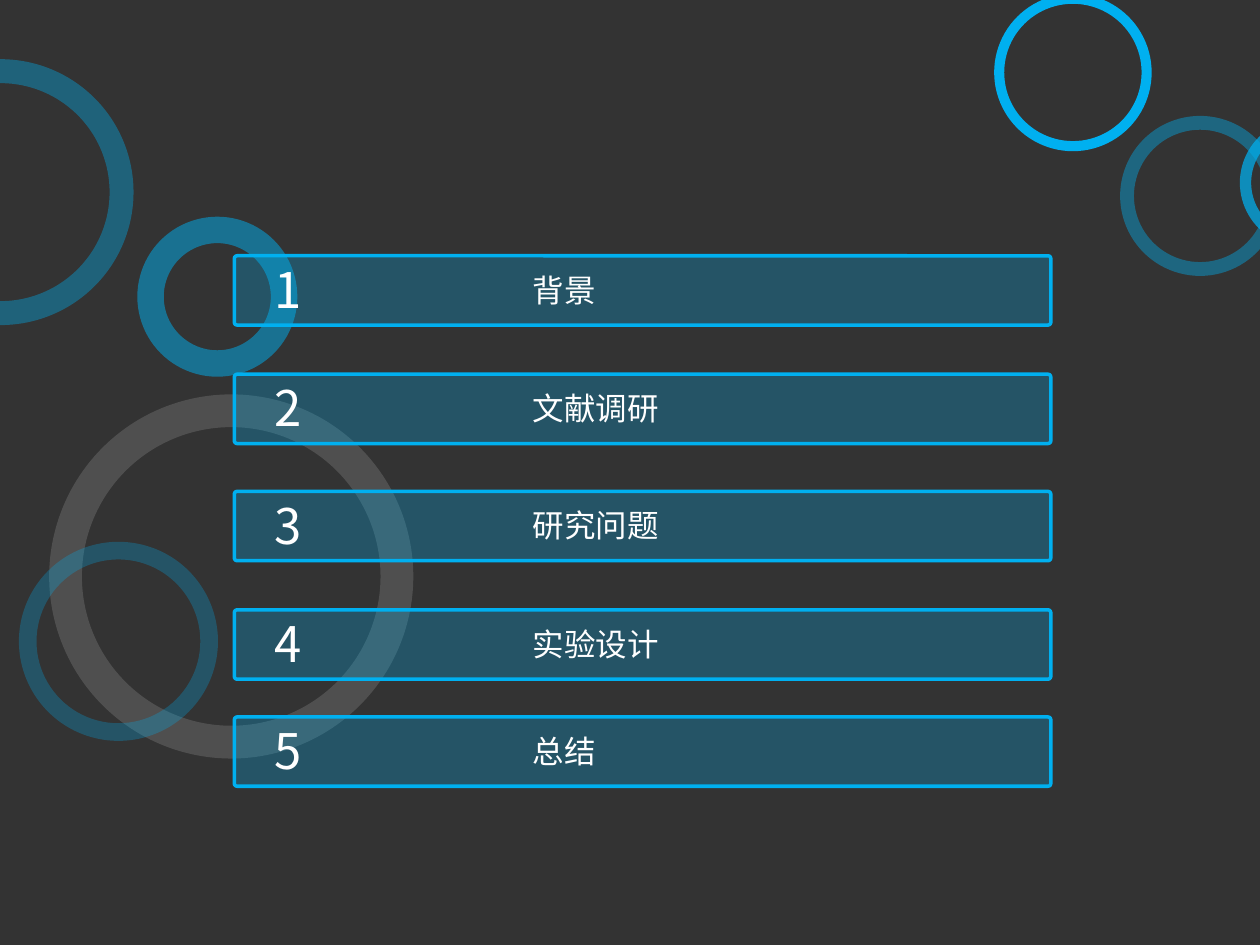
import lxml.etree
import pptx
import pptx.dml.color
import pptx.enum.shapes
import pptx.enum.text
import pptx.oxml.ns
import pptx.util

PX = 9144
COLORS = {"background": "333333", "accent": "00B0F0", "text": "FFFFFF"}
CJK_FONT = "Noto Sans CJK JP"
SHAPES = pptx.enum.shapes.MSO_SHAPE

RINGS = [
    ((39, 313, 289, 289), 26, "text", 14),
    ((-105, 47, 211, 211), 19, "accent", 38),
    ((15, 430, 158, 158), 14, "accent", 27),
    ((109, 172, 127, 127), 21, "accent", 50),
    ((889, 92, 127, 127), 11, "accent", 41),
    ((789, -5, 125, 125), 8, "accent", 100),
    ((984, 94, 102, 102), 9, "accent", 72),
]
AGENDA = [
    (203, "背景", 70, "Arial"),
    (297, "文献调研", 120, "Arial"),
    (390, "研究问题", 120, "Calibri"),
    (484, "实验设计", 120, "Arial"),
    (569, "总结", 70, "Arial"),
]


def rgb(name):
    """Return the named palette colour."""
    return pptx.dml.color.RGBColor.from_string(COLORS[name])


def emu(box):
    """Convert a box from px to EMU."""
    return [v * PX for v in box]


def add_shape(slide, kind, box, color, opacity, adjustment):
    """Add a preset shape with a translucent fill and no line."""
    sp = slide.shapes.add_shape(kind, *emu(box))
    sp.adjustments[0] = adjustment
    sp.shadow.inherit = False
    sp.fill.solid()
    sp.fill.fore_color.rgb = rgb(color)
    if opacity < 100:
        clr = sp.fill._xPr.find(".//" + pptx.oxml.ns.qn("a:srgbClr"))
        alpha = lxml.etree.SubElement(clr, pptx.oxml.ns.qn("a:alpha"))
        alpha.set("val", str(opacity * 1000))
    sp.line.fill.background()
    return sp


def add_text(slide, box, text, size, font):
    """Add a single-line label in white."""
    tf = slide.shapes.add_textbox(*emu(box)).text_frame
    tf.word_wrap = False
    tf.auto_size = pptx.enum.text.MSO_AUTO_SIZE.SHAPE_TO_FIT_TEXT
    r = tf.paragraphs[0].add_run()
    r.text = text
    r.font.size = pptx.util.Pt(size)
    r.font.color.rgb = rgb("text")
    r.font.name = font
    ea = lxml.etree.SubElement(r._r.get_or_add_rPr(), pptx.oxml.ns.qn("a:ea"))
    ea.set("typeface", CJK_FONT)


def add_rings(slide):
    """Add the decorative rings."""
    for box, thickness, color, opacity in RINGS:
        add_shape(slide, SHAPES.DONUT, box, color, opacity, thickness / box[2])


def add_agenda_row(slide, box, number, label, label_width, font):
    """Add one agenda bar with its number and label."""
    left, top, _, _ = box
    sp = add_shape(slide, SHAPES.ROUNDED_RECTANGLE, box, "accent", 27, 0.04)
    sp.line.color.rgb = rgb("accent")
    sp.line.width = pptx.util.Pt(2)
    add_text(slide, (left + 227, top + 7, label_width, 40), label, 18, font)
    add_text(slide, (left + 22, top - 2, 42, 57), str(number), 28, CJK_FONT)


def main():
    """Build the agenda slide."""
    prs = pptx.Presentation()
    prs.slide_width, prs.slide_height = 1000 * PX, 750 * PX
    slide = prs.slides.add_slide(prs.slide_layouts[6])
    slide.background.fill.solid()
    slide.background.fill.fore_color.rgb = rgb("background")
    add_rings(slide)
    for number, (top, label, width, font) in enumerate(AGENDA, 1):
        add_agenda_row(slide, (186, top, 648, 55), number, label, width, font)
    prs.save("out.pptx")


if __name__ == "__main__":
    main()
